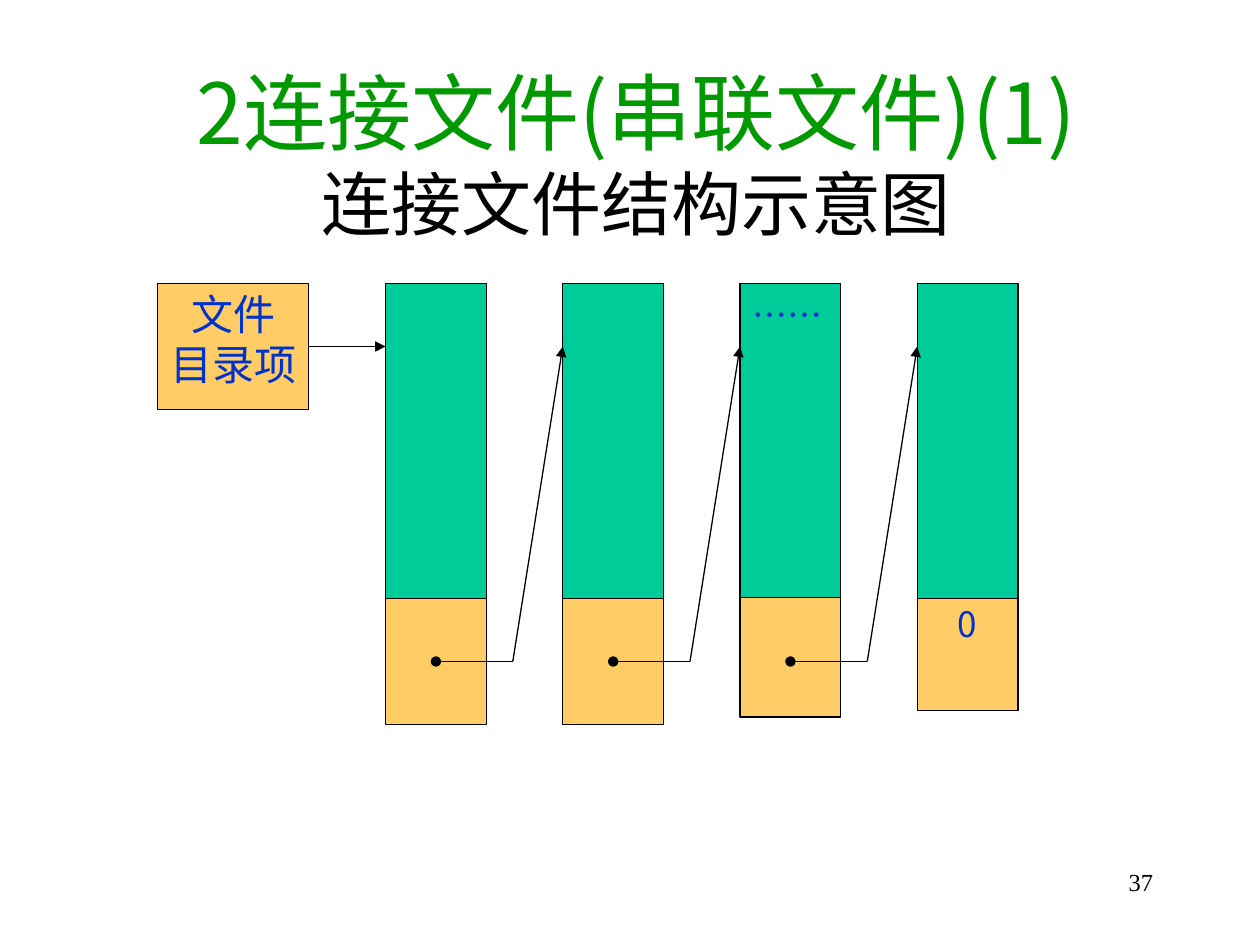
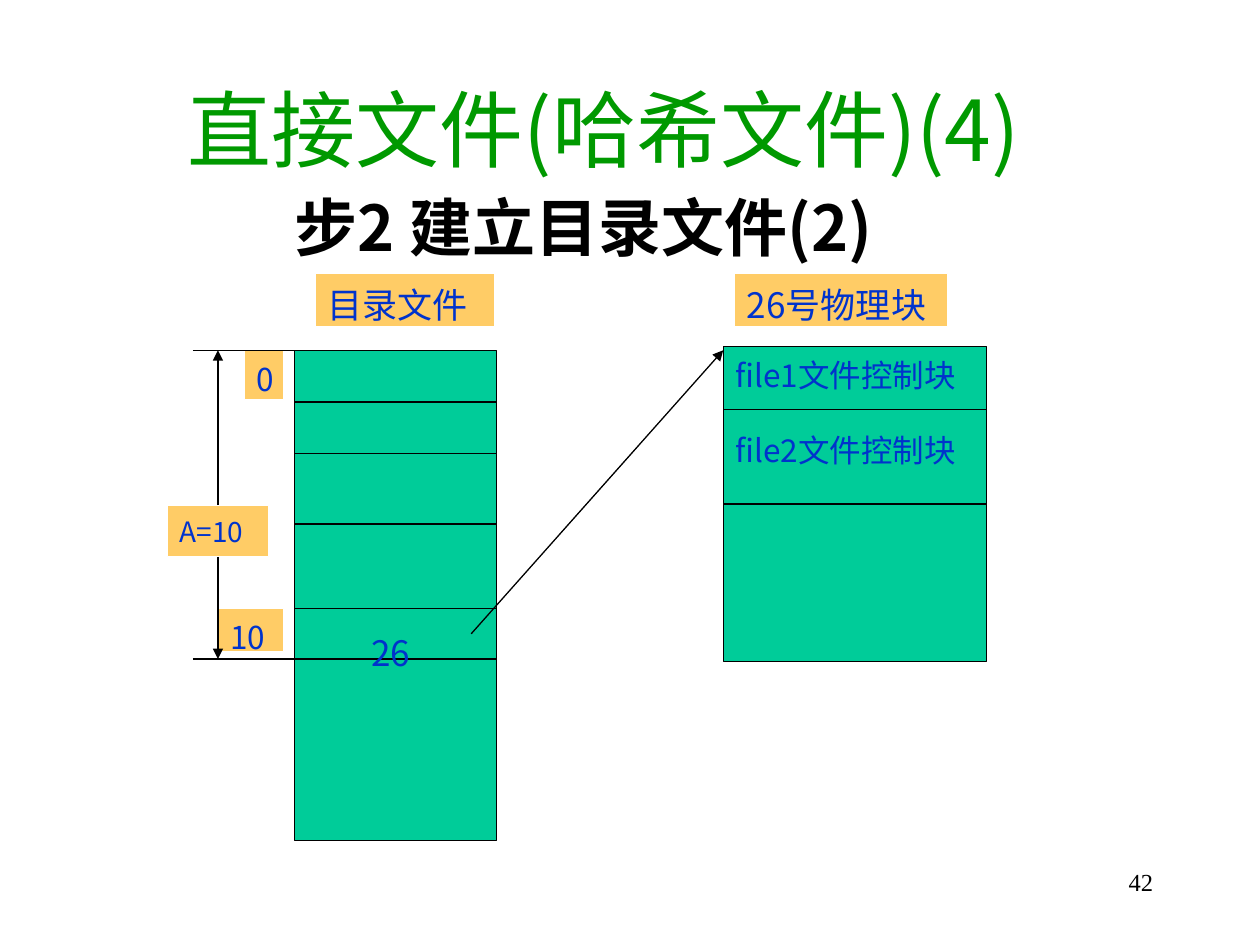
from lxml import etree
from pptx import Presentation
from pptx.dml.color import RGBColor
from pptx.enum.shapes import MSO_CONNECTOR, MSO_SHAPE
from pptx.enum.text import MSO_ANCHOR, MSO_AUTO_SIZE, PP_ALIGN
from pptx.oxml.ns import qn
from pptx.util import Inches, Pt

RECT = MSO_SHAPE.RECTANGLE
STRAIGHT = MSO_CONNECTOR.STRAIGHT
TOP = MSO_ANCHOR.TOP
FIXED = MSO_AUTO_SIZE.NONE
LEFT, MID, RIGHT = PP_ALIGN.LEFT, PP_ALIGN.CENTER, PP_ALIGN.RIGHT

BLACK = RGBColor(0x00, 0x00, 0x00)
WHITE = RGBColor(0xFF, 0xFF, 0xFF)
GREEN = RGBColor(0x00, 0x99, 0x00)
BLUE = RGBColor(0x00, 0x33, 0xCC)
AMBER = RGBColor(0xFF, 0xCC, 0x66)
TEAL = RGBColor(0x00, 0xCC, 0x99)

SANS = "Noto Sans CJK JP"
SERIF = "Times New Roman"
LEAD = 1.19  # line height per point of text
DROP = 0.12  # extra top inset per point of text


def add_run(para, text, size, color, font=SANS, bold=False):
    run = para.add_run()
    run.text = text
    face = run.font
    face.size, face.bold, face.name = Pt(size), bold, font
    face.color.rgb = color
    east = etree.SubElement(run._r.get_or_add_rPr(), qn("a:ea"))
    east.set("typeface", font)


def set_frame(frame, left, top, right):
    frame.word_wrap = True
    frame.auto_size = FIXED
    frame.vertical_anchor = TOP
    frame.margin_left, frame.margin_right = Inches(left), Inches(right)
    frame.margin_top, frame.margin_bottom = Inches(top), Inches(0.05)


def get_para(frame, index):
    return frame.paragraphs[0] if index == 0 else frame.add_paragraph()


def add_lines(shape, lines, size, align=LEFT, inset=0.1, gap=0):
    """Write blue lines from the top of a shape."""
    frame = shape.text_frame
    set_frame(frame, inset, inset / 2 + DROP * size / 72, 0)
    for i, line in enumerate(lines):
        para = get_para(frame, i)
        para.alignment = align
        para.line_spacing = Pt(LEAD * size)
        if i:
            para.space_before = Pt(gap)
        add_run(para, line, size, BLUE)


def add_title(slide, box, lines, align):
    """Each line is (text, size, colour, bold, leading, indent)."""
    title = slide.shapes.title
    title.left, title.top, title.width, title.height = map(Inches, box)
    frame = title.text_frame
    set_frame(frame, 0.1, 0.05, 0.1)
    for i, (text, size, color, bold, lead, indent) in enumerate(lines):
        para = get_para(frame, i)
        para.alignment = align
        para.line_spacing = Pt(lead)
        para.space_before = Pt(0)
        if indent:
            para._p.get_or_add_pPr().set("marL", str(Inches(indent)))
        add_run(para, text, size, color, bold=bold)


def add_box(slide, x, y, w, h, fill, edge=BLACK):
    box = slide.shapes.add_shape(RECT, *map(Inches, (x, y, w, h)))
    box.shadow.inherit = False
    box.fill.solid()
    box.fill.fore_color.rgb = fill
    box.line.color.rgb = edge
    box.line.width = Pt(0.75)
    return box


def add_label(slide, x, y, w, h, text, size):
    box = add_box(slide, x, y, w, h, AMBER, WHITE)
    add_lines(box, [text], size)
    return box


def add_line(slide, x1, y1, x2, y2, head=None, tail=None):
    line = slide.shapes.add_connector(STRAIGHT, *map(Inches, (x1, y1, x2, y2)))
    line.line.color.rgb = BLACK
    line.line.width = Pt(0.75)
    stroke = line.line._get_or_add_ln()
    for tag, kind in (("a:headEnd", head), ("a:tailEnd", tail)):
        if kind:
            etree.SubElement(stroke, qn(tag)).set("type", kind)
    etree.SubElement(line._element.spPr, qn("a:effectLst"))
    return line


def add_page(slide, number):
    box = slide.shapes.add_textbox(*map(Inches, (7.17, 6.83, 2.08, 0.5)))
    set_frame(box.text_frame, 0.1, 0.05, 0.1)
    para = box.text_frame.paragraphs[0]
    para.alignment = RIGHT
    add_run(para, number, 14, BLACK, SERIF)


def new_slide(deck):
    return deck.slides.add_slide(deck.slide_layouts[5])


def build_chain(deck):
    slide = new_slide(deck)
    add_title(slide, (0.35, 0.44, 9.4, 1.53), [
        ("2连接文件(串联文件)(1)", 48, GREEN, False, 57, 0),
        ("连接文件结构示意图", 40, BLACK, False, 47.5, 0),
    ], MID)

    # Directory entry
    entry = add_box(slide, 1.25, 2.25, 1.2, 1, AMBER)
    add_lines(entry, ["文件", "目录项"], 24, MID, inset=0)
    first, last, wide = 3.06, 7.28, 0.8
    step = (last - first) / 3
    link = add_line(slide, 2.45, 2.75, first, 2.75, tail="triangle")
    link.begin_connect(entry, 3)

    # File blocks: data above, pointer below (top, height, data height)
    blocks = [(4.75, 1, 2.5), (4.75, 1, 2.5), (4.69, 1, 2.49), (4.75, 0.89, 2.5)]
    for i, (top, high, body) in enumerate(blocks):
        x = first + i * step
        cell = add_box(slide, x, top, wide, high, AMBER)
        data = add_box(slide, x, 2.25, wide, body, TEAL)
        if i == 2:
            add_lines(data, ["……"], 20)
        if i == 3:
            add_lines(cell, ["0"], 20, MID, inset=0)

    # Pointers to the next block
    for i in range(3):
        x = first + i * step
        bend = x + 1.01
        add_line(slide, x + wide / 2, 5.25, bend, 5.25, head="oval")
        add_line(slide, bend, 5.25, x + step, 2.75, tail="triangle")
    add_page(slide, "37")


def build_hash(deck):
    slide = new_slide(deck)
    add_title(slide, (1.39, 0.57, 7.43, 1.64), [
        ("直接文件(哈希文件)(4)", 48, GREEN, False, 57, 0),
        ("步2 建立目录文件(2)", 36, BLACK, True, 49, 0.85),
    ], LEFT)

    # Directory file with its rows
    left, right, top, end = 2.34, 3.94, 2.78, 5.23
    add_label(slide, 2.5, 2.17, 1.43, 0.42, "目录文件", 20)
    add_box(slide, left, top, right - left, 3.89, TEAL)
    for y in (3.19, 3.6, 4.16, 4.83, end):
        add_line(slide, left, y, right, y)

    # Physical block with its rows
    block, edge = 5.74, 7.83
    add_label(slide, 5.83, 2.17, 1.69, 0.42, "26号物理块", 20)
    files = add_box(slide, block, 2.75, edge - block, 2.5, TEAL)
    add_lines(files, ["file1文件控制块", "file2文件控制块"], 18, gap=LEAD * 18)
    for y in (3.25, 4):
        add_line(slide, block, y, edge, y)
    add_line(slide, 3.74, 5.03, block, top, tail="triangle")

    # Range of addresses
    add_label(slide, 1.94, top, 0.31, 0.39, "0", 18)
    add_label(slide, 1.73, 4.83, 0.52, 0.34, "10", 18)
    span = add_label(slide, 1.33, 4.01, 0.8, 0.41, "A=10", 16)
    for start, stop, side in ((4.01, top, 0), (4.42, end, 2)):
        arrow = add_line(slide, 1.73, start, 1.73, stop, tail="triangle")
        arrow.begin_connect(span, side)
    for y, stop in ((top, 2.74), (end, left)):
        add_line(slide, 1.53, y, stop, y)

    # Block number held in row 10
    value = slide.shapes.add_textbox(*map(Inches, (2.85, 4.93, 0.52, 0.44)))
    add_lines(value, ["26"], 20)
    add_page(slide, "42")


def main():
    deck = Presentation()
    deck.slide_width, deck.slide_height = Inches(10), Inches(7.5)
    build_chain(deck)
    build_hash(deck)
    deck.save("out.pptx")


if __name__ == "__main__":
    main()
